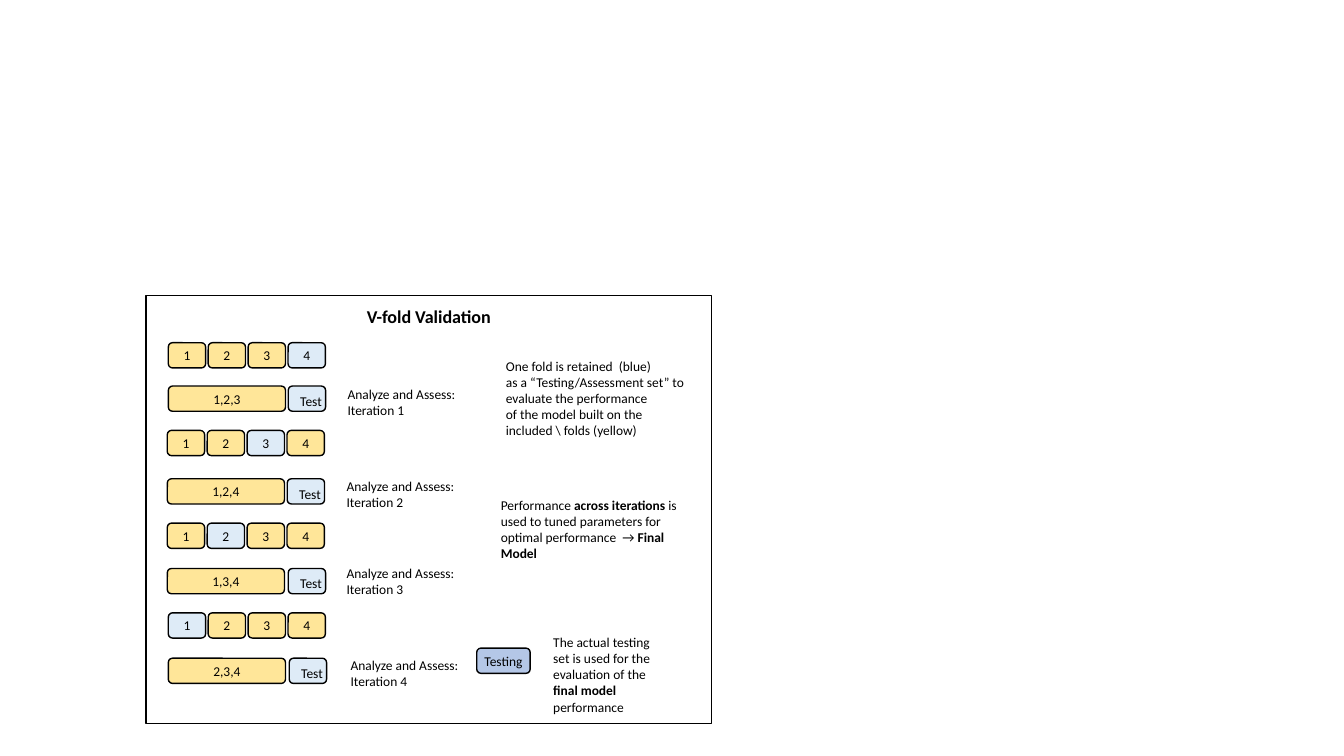
from dataclasses import dataclass
from typing import Any

from pptx import Presentation
from pptx.dml.color import RGBColor
from pptx.enum.shapes import MSO_SHAPE
from pptx.enum.text import MSO_ANCHOR, MSO_AUTO_SIZE, PP_ALIGN
from pptx.util import Inches, Pt

RECT = MSO_SHAPE.RECTANGLE
ROUND = MSO_SHAPE.ROUNDED_RECTANGLE
CENTER = PP_ALIGN.CENTER
LEFT = PP_ALIGN.LEFT
MIDDLE = MSO_ANCHOR.MIDDLE
GROW = MSO_AUTO_SIZE.SHAPE_TO_FIT_TEXT

COLS, ROWS = 133.33, 75
WIDE, HIGH = Inches(13.33), Inches(7.5)
BLACK, GOLD, PALE, BLUE = "000000", "FFE699", "DEEBF7", "B4C7E7"
FOLDS = 4
STEP, CELL, TALL = 3.96, 3.7, 2.5
BAR = 2 * STEP + CELL

TILE = {
    "vertical_anchor": MIDDLE,
    "word_wrap": True,
    "margin_left": Inches(0.05),
    "margin_right": Inches(0.05),
    "margin_top": Inches(0.03),
    "margin_bottom": Inches(0.03),
}


@dataclass
class Box:
    col: float
    row: float
    wide: float
    high: float


@dataclass
class Round:
    held: int
    left: float
    top: float
    bar: float
    test: float
    note: Box


@dataclass
class Label:
    box: Box
    lines: list[str]
    wrap: bool = True
    size: float = 9.6


ROUNDS = [
    Round(4, 16.7, 34, 38.3, 28.6, Box(33.5, 37.8, 12.9, 4.3)),
    Round(3, 16.6, 42.7, 47.5, 28.5, Box(33.4, 46.9, 12.9, 4.3)),
    Round(2, 16.6, 51.9, 56.4, 28.6, Box(33.4, 55.6, 12.9, 4.3)),
    Round(1, 16.7, 60.8, 65.3, 28.7, Box(33.8, 64.7, 12.9, 4.3)),
]

LABELS = [
    Label(Box(49.2, 35, 20.3, 10.7), [
        "One fold is retained  (blue)",
        "as a “Testing/Assessment set” to evaluate the performance",
        "of the model built on the",
        "included \\ folds (yellow)",
    ]),
    Label(Box(48.7, 48.8, 20.8, 7.5), [
        "Performance *across iterations *is used to tuned parameters for "
        "optimal performance  → *Final Model",
    ]),
    Label(Box(53.9, 62.4, 11.9, 9.1), [
        "The actual testing set is used for the evaluation of the "
        "*final model *performance",
    ]),
    Label(Box(35.4, 29.8, 14.4, 3.2), ["*V-fold Validation"], False, 12.9),
]


def tint(code: str) -> RGBColor:
    return RGBColor.from_string(code)


def place(box: Box) -> list[int]:
    return [
        round(box.col / COLS * WIDE),
        round(box.row / ROWS * HIGH),
        round(box.wide / COLS * WIDE),
        round(box.high / ROWS * HIGH),
    ]


def style(item: Any, form: dict[str, Any]) -> None:
    for name, value in form.items():
        setattr(item, name, value)


def write(frame: Any, lines: list[str], size: float, align: Any) -> None:
    for turn, line in enumerate(lines):
        para = frame.add_paragraph() if turn else frame.paragraphs[0]
        para.alignment = align
        for part, text in enumerate(line.split("*")):
            if text:
                run = para.add_run()
                run.text = text
                style(run.font, {"name": "Calibri", "size": Pt(size), "bold": part % 2 == 1})
                run.font.color.rgb = tint(BLACK)


def block(host: Any, box: Box, fill: str = "", text: str = "", kind: Any = ROUND) -> None:
    shape = host.add_shape(kind, *place(box))
    shape.shadow.inherit = False
    if fill:
        shape.fill.solid()
        shape.fill.fore_color.rgb = tint(fill)
    else:
        shape.fill.background()
    shape.line.color.rgb = tint(BLACK)
    shape.line.width = Pt(1)
    if text:
        style(shape.text_frame, TILE)
        write(shape.text_frame, [text], 9.6, CENTER)


def label(host: Any, item: Label) -> None:
    frame = host.add_textbox(*place(item.box)).text_frame
    style(frame, {"word_wrap": item.wrap, "auto_size": GROW})
    write(frame, item.lines, item.size, LEFT)


def cycle(host: Any, item: Round, turn: int) -> None:
    for fold in range(1, FOLDS + 1):
        box = Box(item.left + (fold - 1) * STEP, item.top, CELL, TALL)
        block(host, box, PALE if fold == item.held else GOLD, str(fold))
    kept = ",".join(str(fold) for fold in range(1, FOLDS + 1) if fold != item.held)
    block(host, Box(item.left, item.bar, BAR, TALL), GOLD, kept)
    group = host.add_group_shape().shapes
    block(group, Box(item.test, item.bar, CELL, TALL), PALE)
    label(group, Label(Box(item.test + 0.2, item.bar + 0.2, 4.3, 2.6), ["Test"], False))
    label(host, Label(item.note, ["Analyze and Assess:", f"Iteration {turn}"], False))


def main() -> None:
    deck = Presentation()
    style(deck, {"slide_width": WIDE, "slide_height": HIGH})
    host = deck.slides.add_slide(deck.slide_layouts[6]).shapes
    for turn, item in enumerate(ROUNDS, 1):
        cycle(host, item, turn)
    for item in LABELS:
        label(host, item)
    block(host, Box(47.3, 64.3, 5.3, TALL), BLUE, "Testing")
    block(host, Box(14.5, 29.3, 56.1, 42.5), kind=RECT)
    deck.save("out.pptx")


if __name__ == "__main__":
    main()
